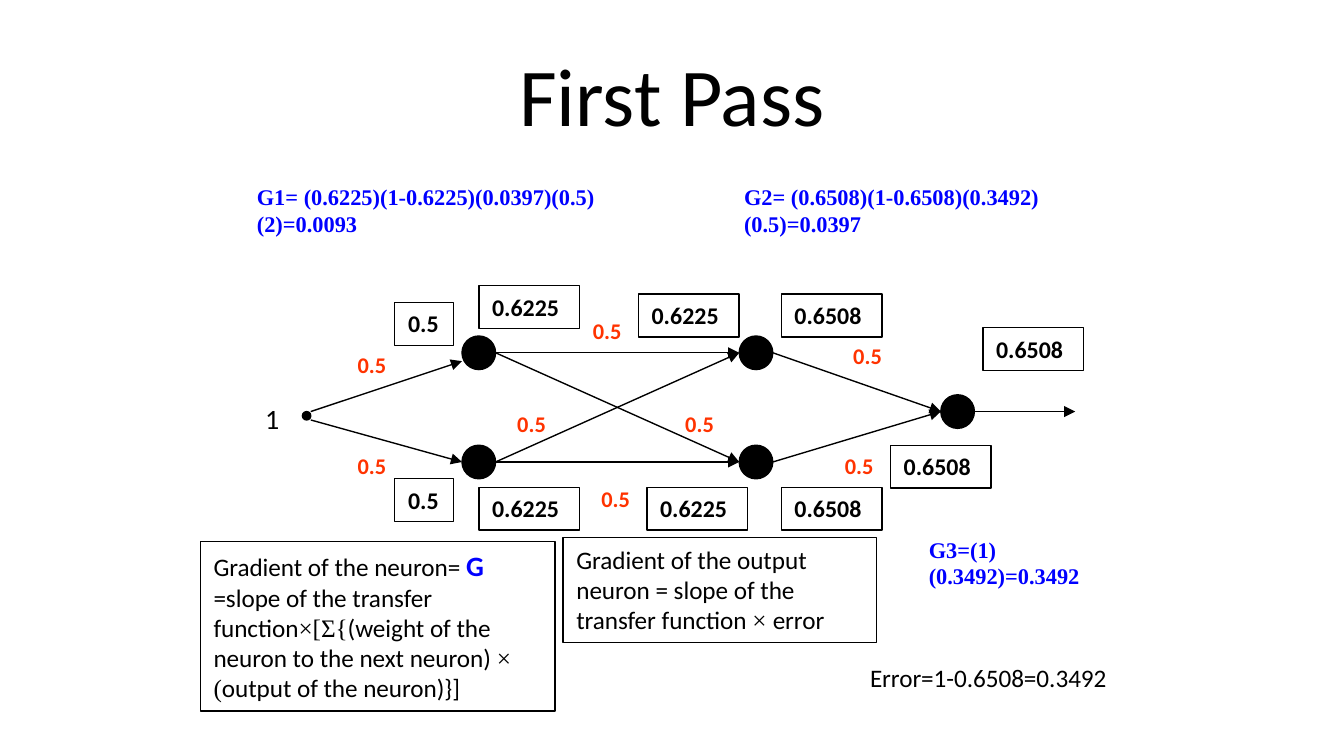
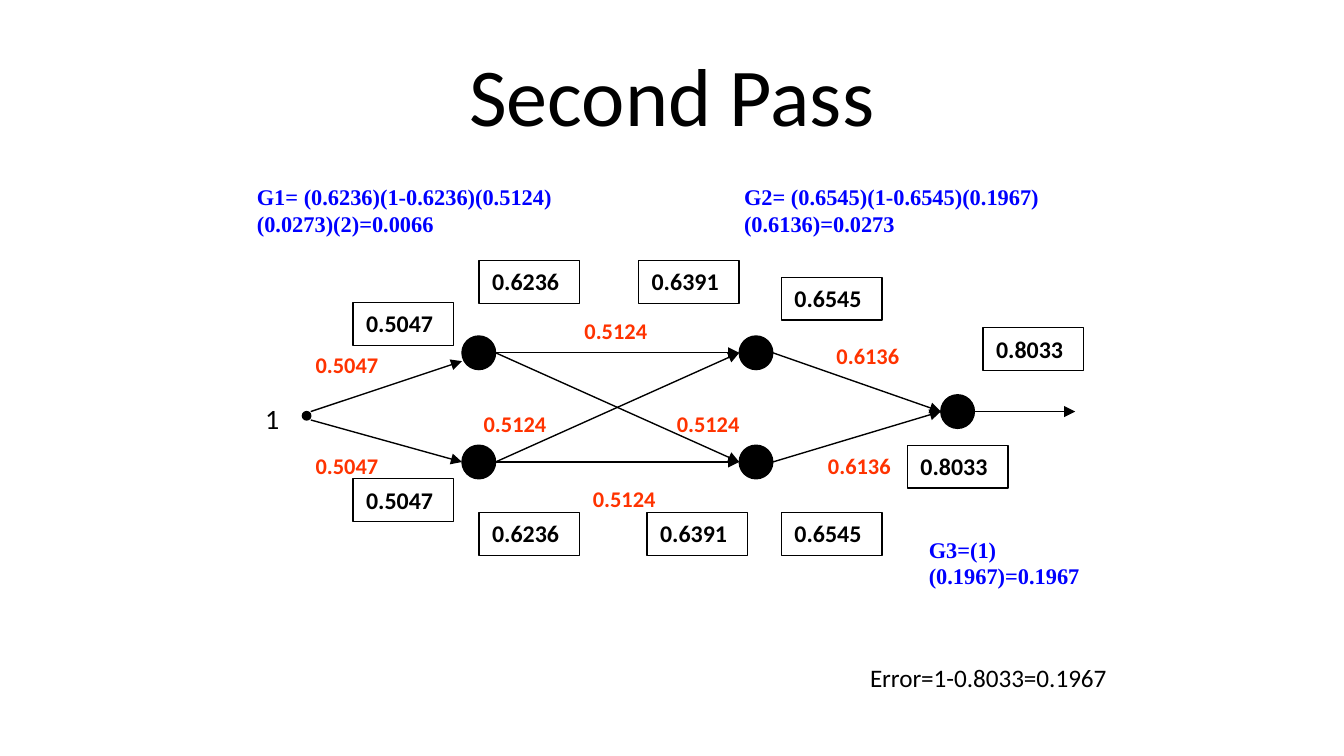
import pptx
import pptx.util
import pptx.dml.color
import pptx.enum.shapes
import pptx.enum.text
import pptx.oxml.ns
import lxml.etree

Pt = pptx.util.Pt
BLACK, RED, BLUE = "000000", "FF3300", "0000FF"
SANS, SERIF = "Calibri", "Times New Roman"

NEURON = 18
UPPER, LOWER, MIDDLE = 189, 247.5, 220.5
FIRST, SECOND, LAST = 247.5, 396, 504
NEURONS = [(FIRST, 180), (FIRST, 238.5), (SECOND, 180), (SECOND, 238.5), (LAST, 211.5)]
INPUT_DOT = (162, 220.5, 4.5)
ARROWS = [(166.5, 220.5, FIRST, 193.5), (166.5, 225, FIRST, LOWER)]
ARROWS += [(FIRST + NEURON, start, SECOND, end)
           for start in (UPPER, LOWER) for end in (UPPER, LOWER)]
ARROWS += [(SECOND + NEURON, start, LAST, MIDDLE) for start in (UPPER, LOWER)]
ARROWS += [(LAST + NEURON, MIDDLE, 576, MIDDLE)]

VALUE_WIDTH, VALUE_HEIGHT = 54, 23
FORMULA_PLACES = [(130.5, 94.5, 211.5), (391.5, 94.5, 211.5), (490.5, 283.5, 130.5)]

PASSES = [
    {
        "title": "First Pass",
        "formulas": ["G1= (0.6225)(1-0.6225)(0.0397)(0.5)(2)=0.0093",
                     "G2= (0.6508)(1-0.6508)(0.3492)(0.5)=0.0397",
                     "G3=(1)(0.3492)=0.3492"],
        "error": "Error=1-0.6508=0.3492",
        "weights": {
            "0.5": [(184.5, 184.5, 31.5), (184.5, 238.5, 31.5),
                    (310.5, 166.5, 31.5), (270, 216, 31.5),
                    (360, 216, 31.5), (315, 256.5, 31.5),
                    (450, 180, 31.5), (445.5, 238.5, 31.5)],
        },
        "inputs": ("0.5", 211.5, 31.5),
        "values": [("0.6225", 256.5, 153), ("0.6225", 256.5, 261),
                   ("0.6225", 342, 157.5), ("0.6225", 346.5, 261),
                   ("0.6508", 418.5, 157.5), ("0.6508", 418.5, 261),
                   ("0.6508", 477, 238.5), ("0.6508", 526.5, 175.5)],
        "notes": [
            ((107.3, 290.2, 190, 90.7), [
                ("Gradient of the neuron= ", SANS, 13.5, BLACK, False),
                ("G", SANS, 15, BLUE, True),
                (" =slope of the transfer function", SANS, 13.5, BLACK, False),
                ("×[Σ{", SERIF, 13.5, BLACK, False),
                ("(weight of the neuron to the next neuron) ", SANS, 13.5, BLACK, False),
                ("× (", SERIF, 13.5, BLACK, False),
                ("output of the neuron)}]", SANS, 13.5, BLACK, False)]),
            ((301.7, 288, 167.8, 56.2), [
                ("Gradient of the output neuron = slope of the transfer function ",
                 SANS, 13.5, BLACK, False),
                ("× ", SERIF, 13.5, BLACK, False),
                ("error", SANS, 13.5, BLACK, False)]),
        ],
    },
    {
        "title": "Second Pass",
        "formulas": ["G1= (0.6236)(1-0.6236)(0.5124)(0.0273)(2)=0.0066",
                     "G2= (0.6545)(1-0.6545)(0.1967)(0.6136)=0.0273",
                     "G3=(1)(0.1967)=0.1967"],
        "error": "Error=1-0.8033=0.1967",
        "weights": {
            "0.5047": [(162, 184.5, 49.5), (162, 238.5, 49.5)],
            "0.5124": [(306, 166.5, 54), (252, 216, 54),
                       (355.5, 216, 58.5), (310.5, 256.5, 49.5)],
            "0.6136": [(441, 180, 54), (436.5, 238.5, 49.5)],
        },
        "inputs": ("0.5047", 189, 54),
        "values": [("0.6236", 256.5, 139.5), ("0.6236", 256.5, 274.5),
                   ("0.6391", 342, 139.5), ("0.6391", 346.5, 274.5),
                   ("0.6545", 418.5, 148.5), ("0.6545", 418.5, 274.5),
                   ("0.8033", 486, 238.5), ("0.8033", 526.5, 175.5)],
        "notes": [],
    },
]


def color(value):
    return pptx.dml.color.RGBColor.from_string(value)


def set_line(line):
    line.color.rgb = color(BLACK)
    line.width = Pt(0.75)


def add_outlined(page, kind, place):
    shape = page.shapes.add_shape(kind, *map(Pt, place))
    shape.shadow.inherit = False
    set_line(shape.line)
    return shape


def write(box, spans, align=pptx.enum.text.PP_ALIGN.LEFT,
          anchor=pptx.enum.text.MSO_ANCHOR.TOP):
    frame = box.text_frame
    frame.word_wrap = True
    frame.vertical_anchor = anchor
    para = frame.paragraphs[0]
    para.alignment = align
    for text, font, size, tint, bold in spans:
        span = para.add_run()
        span.text = text
        span.font.name = font
        span.font.size = Pt(size)
        span.font.color.rgb = color(tint)
        span.font.bold = bold


def add_text(page, place, span, **layout):
    write(page.shapes.add_textbox(*map(Pt, place)), [span], **layout)


def add_frame(page, place, spans):
    frame = add_outlined(page, pptx.enum.shapes.MSO_SHAPE.RECTANGLE, place)
    frame.fill.background()
    write(frame, spans)


def add_value(page, text, left, top, width=VALUE_WIDTH):
    add_frame(page, (left, top, width, VALUE_HEIGHT), [(text, SANS, 12.8, BLACK, True)])


def add_dot(page, left, top, size):
    dot = add_outlined(page, pptx.enum.shapes.MSO_SHAPE.OVAL, (left, top, size, size))
    dot.fill.solid()
    dot.fill.fore_color.rgb = color(BLACK)


def add_arrow(page, ends):
    arrow = page.shapes.add_connector(
        pptx.enum.shapes.MSO_CONNECTOR.STRAIGHT, *map(Pt, ends))
    set_line(arrow.line)
    qualified = pptx.oxml.ns.qn
    properties = arrow.element.spPr
    line = properties.find(qualified("a:ln"))
    lxml.etree.SubElement(line, qualified("a:tailEnd"), type="triangle")
    lxml.etree.SubElement(properties, qualified("a:effectLst"))


def add_network(page):
    for left, top in NEURONS:
        add_dot(page, left, top, NEURON)
    add_dot(page, *INPUT_DOT)
    for ends in ARROWS:
        add_arrow(page, ends)
    add_text(page, (135, 211.5, 19, 25), ("1", SANS, 15, BLACK, False))


def add_pass(deck, content):
    page = deck.slides.add_slide(deck.slide_layouts[6])
    add_text(page, (36, 16.5, 648, 67.5), (content["title"], SANS, 44, BLACK, False),
             align=pptx.enum.text.PP_ALIGN.CENTER,
             anchor=pptx.enum.text.MSO_ANCHOR.MIDDLE)
    add_network(page)
    for text, places in content["weights"].items():
        for left, top, width in places:
            add_text(page, (left, top, width, 21.6), (text, SANS, 12, RED, True))
    text, left, width = content["inputs"]
    for top in (162, 256.5):
        add_value(page, text, left, top, width)
    for value in content["values"]:
        add_value(page, *value)
    add_text(page, (459, 351, 157.5, 24), (content["error"], SANS, 13.5, BLACK, False))
    for text, place in zip(content["formulas"], FORMULA_PLACES):
        add_text(page, (*place, 58.5), (text, SERIF, 12, BLUE, True))
    for place, spans in content["notes"]:
        add_frame(page, place, spans)


def main():
    deck = pptx.Presentation()
    deck.slide_width, deck.slide_height = Pt(720), Pt(405)
    for content in PASSES:
        add_pass(deck, content)
    deck.save("out.pptx")


if __name__ == "__main__":
    main()
